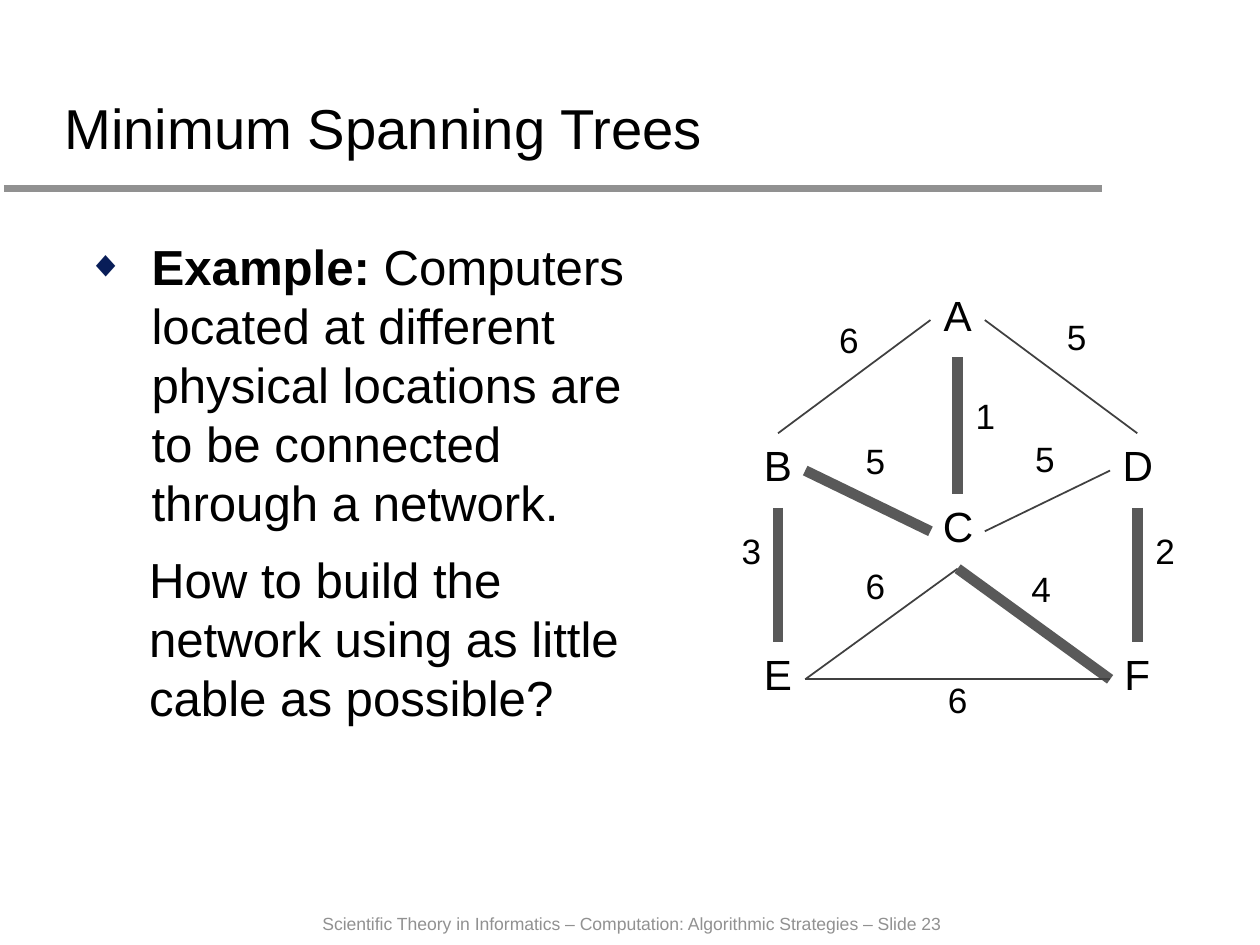
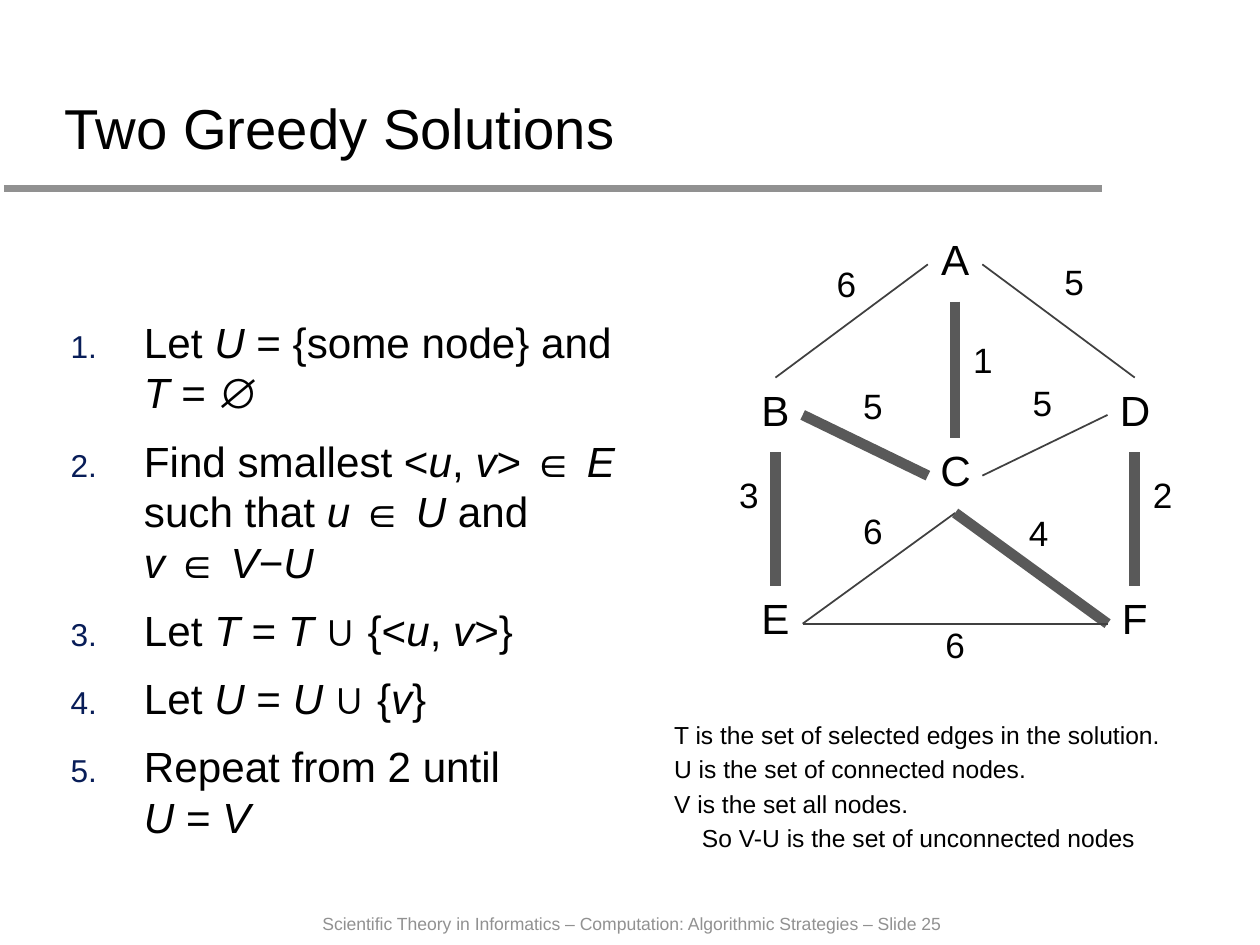
"""Build two slides on minimum spanning trees."""
from lxml.etree import SubElement
from pptx import Presentation
from pptx.dml.color import RGBColor
from pptx.enum.shapes import MSO_CONNECTOR as Connector
from pptx.enum.text import MSO_ANCHOR as Anchor, PP_ALIGN as Align
from pptx.oxml.ns import qn
from pptx.util import Inches, Pt

WIDTH, HEIGHT = 9.96, 7.47
FONT = "Arial"
COLORS = {"text": "000000", "muted": "919191", "bullet": "081D58",
          "edge": "404040", "chosen": "595959"}
FOOTER = "Scientific Theory in Informatics – Computation: Algorithmic Strategies – Slide {}"

DIAMOND = ("buChar", {"char": "◆"})
NUMBER = ("buAutoNum", {"type": "arabicPeriod"})

EXAMPLE = [
    dict(text="*Example: *Computers located at different physical locations are "
              "to be connected through a network.",
         accent="bold", margin=0.51, hanging=0.51, before=5.6, bullet=DIAMOND),
    dict(text="How to build the network using as little cable as possible?",
         margin=0.49, before=10),
]
STEPS = [dict(text=step, margin=0.58, hanging=0.58, before=10, bullet=NUMBER) for step in (
    "Let *U *= {some node} and \n*T *= ∅",
    "Find smallest <*u*, *v*> ∈ *E* such that *u *∈ *U* and\n*v *∈ *V*−*U*",
    "Let *T *= *T *∪ {<*u*, *v*>}",
    "Let *U *= *U *∪ {*v*}",
    "Repeat from 2 until\n*U *= *V*",
)]
NOTES = [dict(text=note, margin=margin, before=2.8) for note, margin in (
    ("T is the set of selected edges in the solution.", 0),
    ("U is the set of connected nodes.", 0),
    ("V is the set all nodes.", 0),
    ("So V-U is the set of unconnected nodes", 0.22),
)]

SLIDES = [
    dict(number=23, title="Minimum Spanning Trees", graph=(7.57, 2.53),
         texts=[(EXAMPLE, (0.59, 1.82, 4.64, 4.74), 28, True)]),
    dict(number=25, title="Two Greedy Solutions", graph=(7.55, 2.09),
         texts=[(STEPS, (0.46, 2.45, 4.77, 4.5), 24, True),
                (NOTES, (5.23, 5.64, 4.11, 1.18), 14, False)]),
]

NODE_WIDTH, NODE_HEIGHT = 0.43, 0.59
NODES = {"A": (0, 0), "B": (-1.42, 1.19), "C": (0, 1.67),
         "D": (1.42, 1.19), "E": (-1.42, 2.84), "F": (1.42, 2.84)}
SIDES = {"left": (-0.5, 0), "right": (0.5, 0), "top": (0, -0.5), "bottom": (0, 0.5)}
EDGES = [
    ("A", "left", "B", "top", 6, (-0.86, 0.23), False),
    ("B", "bottom", "E", "top", 3, (-1.63, 1.9), True),
    ("E", "right", "C", "bottom", 6, (-0.65, 2.18), False),
    ("F", "left", "C", "bottom", 4, (0.66, 2.2), True),
    ("B", "right", "C", "left", 5, (-0.65, 1.19), True),
    ("C", "right", "D", "left", 5, (0.69, 1.17), False),
    ("D", "bottom", "F", "top", 2, (1.64, 1.9), True),
    ("A", "right", "D", "top", 5, (0.94, 0.21), False),
    ("F", "left", "E", "right", 6, (0, 3.08), False),
    ("A", "bottom", "C", "top", 1, (0.22, 0.83), True),
]


def color(name):
    return RGBColor.from_string(COLORS[name])


def add_line(shapes, start, end, name, weight):
    points = [Inches(value) for value in (*start, *end)]
    line = shapes.add_connector(Connector.STRAIGHT, *points)
    line.line.color.rgb = color(name)
    line.line.width = Pt(weight)
    SubElement(line._element.spPr, qn("a:effectLst"))


def format_paragraph(para, margin=0, hanging=0, before=0, bullet=None):
    para.space_before = Pt(before)
    props = para._p.get_or_add_pPr()
    props.set("marL", str(Inches(margin)))
    props.set("indent", str(-Inches(hanging)))
    if bullet:
        tag, attributes = bullet
        SubElement(SubElement(props, qn("a:buClr")), qn("a:srgbClr"), val=COLORS["bullet"])
        SubElement(props, qn("a:buSzPct"), val="75000")
        SubElement(props, qn("a:buFont"), typeface=FONT)
        SubElement(props, qn("a:" + tag), attributes)


def add_spans(para, text, accent, size, name):
    for index, part in enumerate(text.split("*")):
        for row, words in enumerate(part.split("\n")):
            if row:
                para.add_line_break()
            if words:
                span = para.add_run()
                span.text = words
                span.font.name, span.font.size = FONT, Pt(size)
                span.font.color.rgb = color(name)
                setattr(span.font, accent, index % 2 == 1)


def add_text(shapes, paragraphs, place, size, wrap=False, name="text",
             align=Align.LEFT, anchor=Anchor.TOP):
    box = shapes.add_textbox(*(Inches(value) for value in place))
    frame = box.text_frame
    frame.word_wrap, frame.vertical_anchor = wrap, anchor
    for index, item in enumerate(paragraphs):
        layout = dict(item)
        text, accent = layout.pop("text"), layout.pop("accent", "italic")
        para = frame.add_paragraph() if index else frame.paragraphs[0]
        para.alignment = align
        format_paragraph(para, **layout)
        add_spans(para, text, accent, size, name)


def add_graph(slide, origin):
    shapes = slide.shapes.add_group_shape().shapes

    def locate(offset):
        return origin[0] + offset[0], origin[1] + offset[1]

    def attach(node, side):
        x, y = locate(NODES[node])
        across, down = SIDES[side]
        return x + across * NODE_WIDTH, y + down * NODE_HEIGHT

    def add_label(text, offset, size):
        x, y = locate(offset)
        place = (x - NODE_WIDTH / 2, y - NODE_HEIGHT / 2, NODE_WIDTH, NODE_HEIGHT)
        add_text(shapes, [dict(text=text)], place, size, align=Align.CENTER)

    for start, start_side, end, end_side, weight, offset, chosen in EDGES:
        style = ("chosen", 6) if chosen else ("edge", 1)
        add_line(shapes, attach(start, start_side), attach(end, end_side), *style)
        add_label(str(weight), offset, 20)
    for node, offset in NODES.items():
        add_label(node, offset, 24)


def add_frame(slide, title, number):
    add_line(slide.shapes, (0.03, 1.49), (8.71, 1.49), "muted", 4)
    add_text(slide.shapes, [dict(text=FOOTER.format(number))],
             (2.45, 7.17, 5.23, 0.27), 10, name="muted")
    add_text(slide.shapes, [dict(text=title)], (0.41, 0.29, 9.15, 1.03), 32,
             wrap=True, anchor=Anchor.BOTTOM)


def main():
    deck = Presentation()
    deck.slide_width, deck.slide_height = Inches(WIDTH), Inches(HEIGHT)
    for page in SLIDES:
        slide = deck.slides.add_slide(deck.slide_layouts[6])
        add_frame(slide, page["title"], page["number"])
        for text in page["texts"]:
            add_text(slide.shapes, *text)
        add_graph(slide, page["graph"])
    deck.save("out.pptx")


if __name__ == "__main__":
    main()
